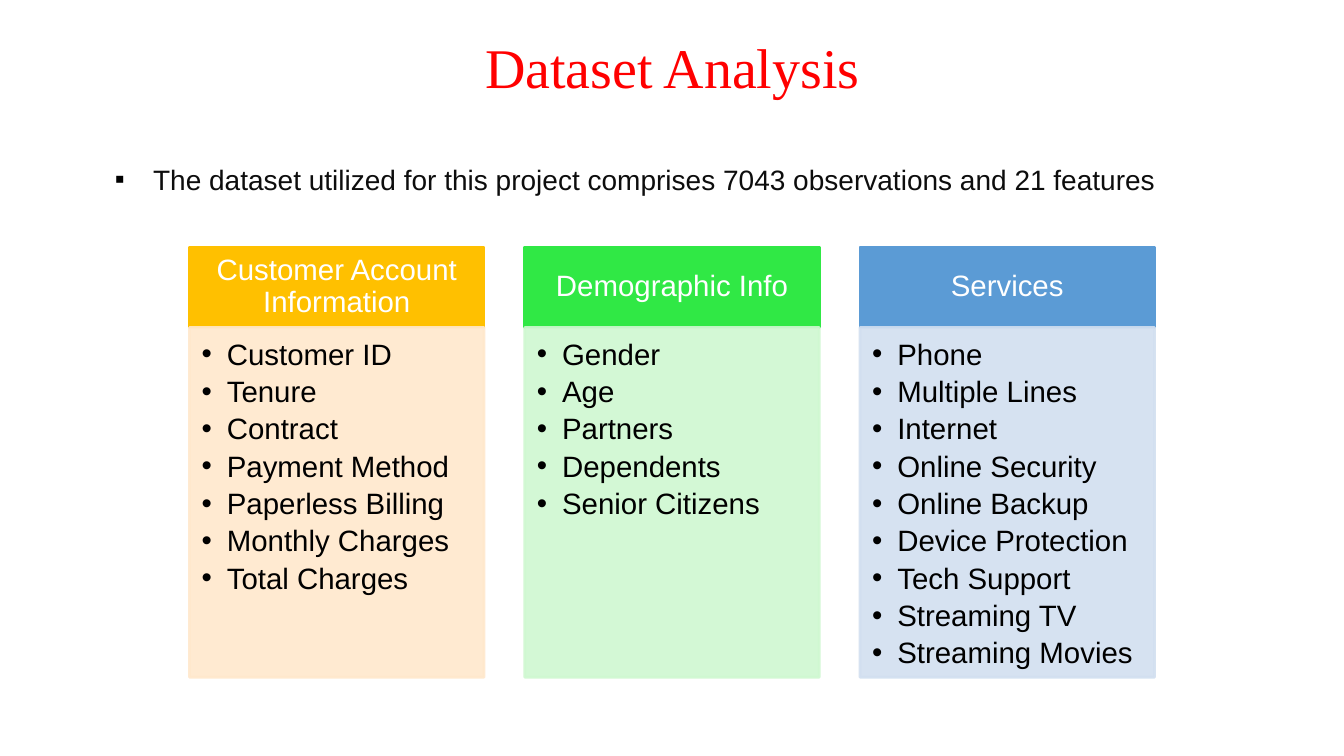
import pptx
import pptx.dml.color
import pptx.enum.shapes
import pptx.enum.text
import pptx.oxml
import pptx.oxml.ns
import pptx.util
from pptx.util import Inches

ALIGN = pptx.enum.text.PP_ALIGN
ANCHOR = pptx.enum.text.MSO_ANCHOR

COLORS = {
    "title": "FF0000",
    "statement": "0D0D0D",
    "item": "000000",
    "heading": "FFFFFF",
    "amber": "FFC000",
    "pale amber": "FFE8CC",
    "green": "30E845",
    "pale green": "CFF8D1",
    "blue": "5B9BD5",
    "pale blue": "D2DFF0",
}

FEATURE_GROUPS = [
    ("Customer Account Information", "amber",
     ["Customer ID", "Tenure", "Contract", "Payment Method",
      "Paperless Billing", "Monthly Charges", "Total Charges"]),
    ("Demographic Info", "green",
     ["Gender", "Age", "Partners", "Dependents", "Senior Citizens"]),
    ("Services", "blue",
     ["Phone", "Multiple Lines", "Internet", "Online Security",
      "Online Backup", "Device Protection", "Tech Support",
      "Streaming TV", "Streaming Movies"]),
]

COLUMN_LEFT, COLUMN_STEP, COLUMN_WIDTH = 1.88, 3.325, 2.92
HEADING_TOP, HEADING_HEIGHT, LIST_HEIGHT = 2.45, 0.8, 3.47


def rgb(name):
    return pptx.dml.color.RGBColor.from_string(COLORS[name])


def set_frame(frame, insets, anchor=ANCHOR.TOP):
    """Wrap the text and set left, top, right and bottom insets in inches."""
    frame.word_wrap = True
    frame.vertical_anchor = anchor
    (frame.margin_left, frame.margin_top,
     frame.margin_right, frame.margin_bottom) = map(Inches, insets)


def add_bullet(paragraph, character, indent):
    """Give the paragraph a black bullet with a hanging indent in inches."""
    properties = paragraph._p.get_or_add_pPr()
    properties.set("marL", str(Inches(indent)))
    properties.set("indent", str(-Inches(indent)))
    namespace = pptx.oxml.ns.nsdecls("a")
    for xml in (
        f'<a:buClr {namespace}><a:srgbClr val="{COLORS["item"]}"/></a:buClr>',
        f'<a:buFont {namespace} typeface="Arial"/>',
        f'<a:buChar {namespace} char="{character}"/>',
    ):
        properties.append(pptx.oxml.parse_xml(xml))


def write(paragraph, text, size, color, alignment=ALIGN.LEFT,
          font="Arial", line_spacing=1.0, space_after=0):
    paragraph.alignment = alignment
    paragraph.line_spacing = line_spacing
    paragraph.space_after = pptx.util.Pt(space_after)
    run = paragraph.add_run()
    run.text = text
    run.font.name = font
    run.font.size = pptx.util.Pt(size)
    run.font.color.rgb = rgb(color)


def add_text_box(slide, left, top, width, height):
    box = slide.shapes.add_textbox(*map(Inches, (left, top, width, height)))
    set_frame(box.text_frame, (0.1, 0.05, 0.1, 0.05))
    return box.text_frame


def add_panel(slide, left, top, height, color, opacity=100):
    panel = slide.shapes.add_shape(
        pptx.enum.shapes.MSO_SHAPE.RECTANGLE,
        *map(Inches, (left, top, COLUMN_WIDTH, height)))
    panel.shadow.inherit = False
    panel.fill.solid()
    panel.fill.fore_color.rgb = rgb(color)
    panel.line.color.rgb = rgb(color)
    panel.line.width = pptx.util.Pt(2)
    if opacity < 100:
        for element in panel._element.spPr.iter(pptx.oxml.ns.qn("a:srgbClr")):
            element.append(pptx.oxml.parse_xml(
                f'<a:alpha {pptx.oxml.ns.nsdecls("a")} val="{opacity * 1000}"/>'))
    return panel.text_frame


def add_feature_column(slide, left, heading, color, items):
    frame = add_panel(slide, left, HEADING_TOP, HEADING_HEIGHT, color)
    set_frame(frame, (0.16, 0.09, 0.16, 0.09), ANCHOR.MIDDLE)
    write(frame.paragraphs[0], heading, 21, "heading", ALIGN.CENTER,
          line_spacing=0.9)

    frame = add_panel(slide, left, HEADING_TOP + HEADING_HEIGHT, LIST_HEIGHT,
                      f"pale {color}", opacity=90)
    set_frame(frame, (0.12, 0.12, 0.16, 0.18))
    for index, item in enumerate(items):
        paragraph = frame.add_paragraph() if index else frame.paragraphs[0]
        write(paragraph, item, 21, "item", line_spacing=0.9, space_after=4)
        add_bullet(paragraph, "•", 0.25)


def main():
    presentation = pptx.Presentation()
    presentation.slide_width = Inches(13.33)
    presentation.slide_height = Inches(7.5)
    slide = presentation.slides.add_slide(presentation.slide_layouts[6])

    statement = add_text_box(slide, 1.04, 1.56, 11.5, 0.53).paragraphs[0]
    write(statement,
          "The dataset utilized for this project comprises 7043 observations "
          "and 21 features", 20, "statement", ALIGN.JUSTIFY)
    add_bullet(statement, "▪", 0.38)

    title = add_text_box(slide, 0.92, 0.4, 11.5, 0.64)
    title.auto_size = pptx.enum.text.MSO_AUTO_SIZE.SHAPE_TO_FIT_TEXT
    write(title.paragraphs[0], "Dataset Analysis", 40, "title", ALIGN.CENTER,
          font="Times New Roman", line_spacing=0.8)

    for index, (heading, color, items) in enumerate(FEATURE_GROUPS):
        add_feature_column(slide, COLUMN_LEFT + index * COLUMN_STEP,
                           heading, color, items)

    presentation.save("out.pptx")


if __name__ == "__main__":
    main()
